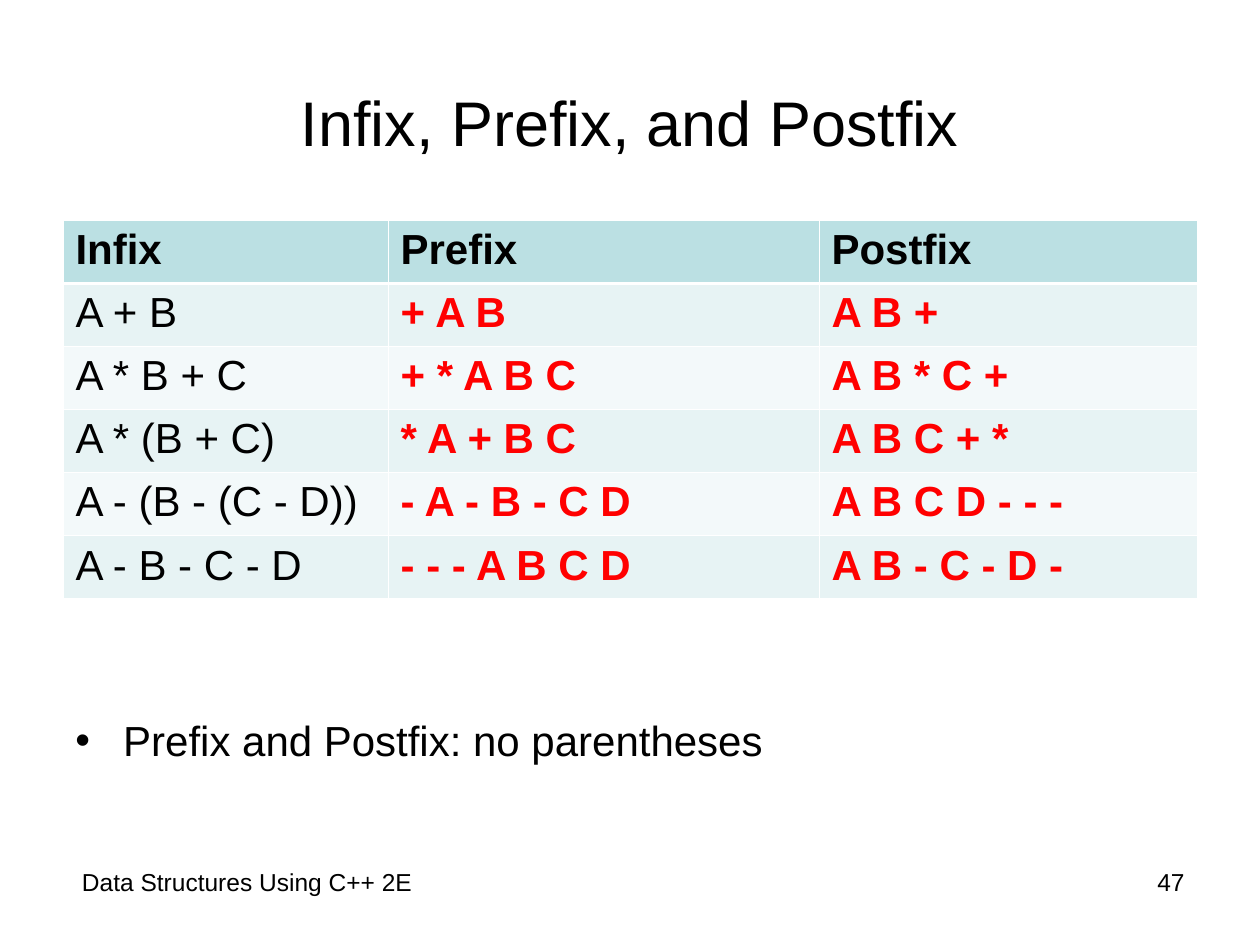
from lxml.etree import SubElement
from pptx import Presentation
from pptx.dml.color import RGBColor
from pptx.enum.text import MSO_ANCHOR, PP_ALIGN
from pptx.oxml.ns import qn
from pptx.util import Inches, Pt

COLORS = {"text": "000000", "answer": "FF0000", "header": "BBE0E3",
          "odd": "E7F3F4", "even": "F3F9FA", "border": "FFFFFF"}
FONT = "Arial"

TITLE = "Infix, Prefix, and Postfix"
NOTATIONS = [
    ("Infix", "Prefix", "Postfix"),
    ("A + B", "+ A B", "A B +"),
    ("A * B + C", "+ * A B C", "A B * C +"),
    ("A * (B + C)", "* A + B C", "A B C + *"),
    ("A - (B - (C - D))", "- A - B - C D", "A B C D - - -"),
    ("A - B - C - D", "- - - A B C D", "A B - C - D -"),
]
COLUMN_WIDTHS = [2.58, 3.42, 3]
ROW_HEIGHT = 0.5
REMARK = "Prefix and Postfix: no parentheses"
FOOTER = "Data Structures Using C++ 2E"
PAGE_NUMBER = "47"
LEFT, WIDTH = 0.5, 9


def style(paragraph, size, color="text", bold=False):
    font = paragraph.font
    font.name, font.size, font.bold = FONT, Pt(size), bold
    font.color.rgb = RGBColor.from_string(COLORS[color])


def add_text(slide, text, box, size, align=PP_ALIGN.LEFT,
             anchor=MSO_ANCHOR.TOP, inset_left=0.1, inset_top=0.05, bullet=False):
    frame = slide.shapes.add_textbox(*map(Inches, box)).text_frame
    frame.word_wrap = True
    frame.vertical_anchor = anchor
    frame.margin_left, frame.margin_top = Inches(inset_left), Inches(inset_top)
    paragraph = frame.paragraphs[0]
    paragraph.text = text
    paragraph.alignment = align
    if bullet:
        props = paragraph._p.get_or_add_pPr()
        props.set("marL", str(Inches(0.38)))
        props.set("indent", str(-Inches(0.38)))
        SubElement(props, qn("a:buFont"), typeface=FONT)
        SubElement(props, qn("a:buChar"), char="•")
    style(paragraph, size)


def add_borders(cell, widths):
    props = cell._tc.get_or_add_tcPr()
    for position, (side, width) in enumerate(widths.items()):
        line = SubElement(props, qn(f"a:{side}"), w=str(Pt(width)))
        fill = SubElement(line, qn("a:solidFill"))
        SubElement(fill, qn("a:srgbClr"), val=COLORS["border"])
        props.insert(position, line)  # borders come before the cell fill


def add_notation_table(slide):
    table = slide.shapes.add_table(
        len(NOTATIONS), len(COLUMN_WIDTHS), Inches(LEFT), Inches(1.75),
        Inches(WIDTH), Inches(ROW_HEIGHT * len(NOTATIONS))).table
    for column, width in zip(table.columns, COLUMN_WIDTHS):
        column.width = Inches(width)
    for r, expressions in enumerate(NOTATIONS):
        table.rows[r].height = Inches(ROW_HEIGHT)
        band = "header" if r == 0 else "odd" if r % 2 else "even"
        for c, expression in enumerate(expressions):
            cell = table.cell(r, c)
            cell.text = expression
            cell.fill.solid()
            cell.fill.fore_color.rgb = RGBColor.from_string(COLORS[band])
            style(cell.text_frame.paragraphs[0], 24,
                  "answer" if r and c else "text", bold=r == 0 or c > 0)
            # A thicker rule separates the header from the body
            add_borders(cell, {"lnL": 0.45, "lnR": 0.45,
                               "lnT": 1.47 if r == 1 else 0.45,
                               "lnB": 1.47 if r == 0 else 0.45})


def main():
    prs = Presentation()
    prs.slide_width, prs.slide_height = Inches(10), Inches(7.5)
    slide = prs.slides.add_slide(prs.slide_layouts[6])

    # Title, table and remark
    add_text(slide, TITLE, (LEFT, 0.3, WIDTH, 1.25), 36, PP_ALIGN.CENTER,
             MSO_ANCHOR.MIDDLE, inset_top=0.13)
    add_notation_table(slide)
    add_text(slide, REMARK, (LEFT, 5.58, WIDTH, 0.7), 24,
             inset_top=0.09, bullet=True)

    # Footer
    add_text(slide, FOOTER, (LEFT, 6.83, 7.58, 0.52), 14, inset_left=0.15)
    add_text(slide, PAGE_NUMBER, (8.58, 6.83, 0.92, 0.52), 14, PP_ALIGN.RIGHT)

    prs.save("out.pptx")


if __name__ == "__main__":
    main()
